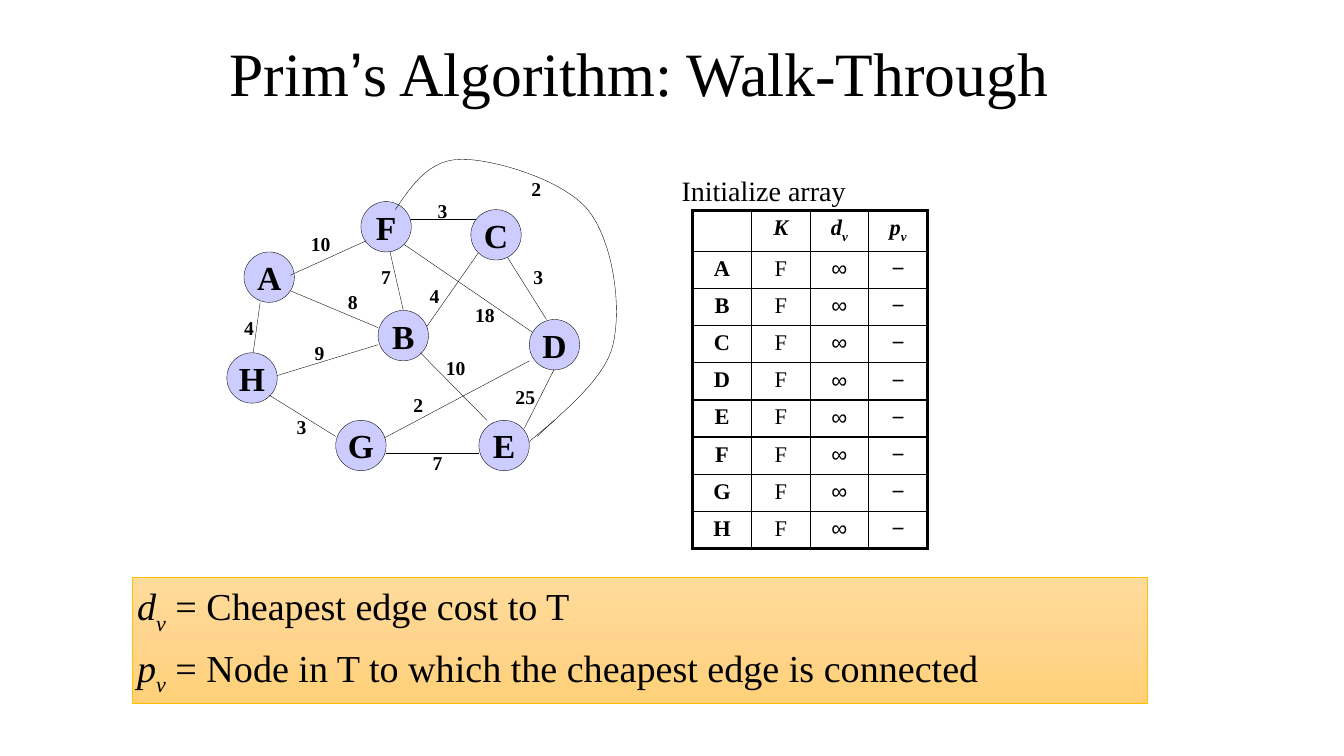
from lxml.etree import SubElement
from copy import deepcopy
from pptx import Presentation
from pptx.dml.color import RGBColor
from pptx.enum.shapes import MSO_CONNECTOR, MSO_SHAPE
from pptx.enum.text import MSO_ANCHOR, PP_ALIGN
from pptx.oxml.ns import qn
from pptx.util import Inches, Pt

INK = "000000"
NODES = {"A": (0.17, 1), "H": (0, 2), "B": (1.5, 1.58), "F": (1.33, 0.5),
         "E": (2.5, 2.67), "D": (3, 1.67), "C": (2.42, 0.58), "G": (1.08, 2.67)}
# Edge: start, end, cost, top centre of the cost label
UNDER = [
    ((0.25, 2.08), (0.33, 1.5), "4", (0.22, 1.58)),
    ((3.37, 1.92), (2.95, 2.75), "25", (2.96, 2.27)),
    ((1.58, 0.83), (1.75, 1.58), "7", (1.58, 1.08)),
    ((1.92, 1.83), (2.5, 1), "4", (2.06, 1.27)),
    ((3.08, 1.83), (1.75, 0.92), "18", (2.56, 1.46)),
    ((0.42, 2.25), (1.5, 1.92), "9", (0.92, 1.83)),
    ((1.42, 2.92), (3, 2.08), "2", (1.9, 2.35)),
    ((0.5, 1.33), (1.5, 1.75), "8", (1.25, 1.33)),
    ((1.8, 0.67), (2.47, 0.67), "3", (2.14, 0.42)),
    ((2.75, 1), (3.17, 1.67), "3", (3.09, 1.08)),
]
OVER = [
    ((1.92, 2), (2.58, 2.67), "10", (2.27, 1.98)),
    ((2.5, 3), (1.58, 3), "7", (2.09, 2.92)),
    ((1.08, 2.83), (0.42, 2.42), "3", (0.74, 2.57)),
    ((0.63, 1.23), (1.38, 0.89), "10", (0.93, 0.75)),
    ((3.25, 2.67), (3, 2.88), "", None),
]
# Bezier chain of the F-E edge: start, then two controls and an end each
ARC = [(1.67, 0.58), (1.84, 0.33), (2.01, 0.08), (2.33, 0.08),
       (2.65, 0.08), (3.33, 0.28), (3.58, 0.58),
       (3.83, 0.89), (3.92, 1.54), (3.83, 1.92),
       (3.75, 2.29), (3.21, 2.68), (3.08, 2.83)]


def color(code):
    return RGBColor.from_string(code)


def write(para, runs, size, bold=False, drop=-25):
    """Add (text, marks) runs; marks: i italic, s subscript, a Arial."""
    for text, marks in runs:
        run = para.add_run()
        run.text = text
        font = run.font
        font.size, font.bold, font.italic = Pt(size), bold, "i" in marks
        font.name = "Arial" if "a" in marks else "Times New Roman"
        font.color.rgb = color(INK)
        if "s" in marks:
            font._element.set("baseline", str(drop * 1000))


def pad(frame, gap=0.05):
    frame.margin_left = frame.margin_right = Inches(gap)
    frame.margin_top = frame.margin_bottom = Inches(gap)


def label(shapes, x, y, w, h, runs, size, bold=False, align=PP_ALIGN.CENTER):
    frame = shapes.add_textbox(Inches(x), Inches(y), Inches(w), Inches(h)).text_frame
    frame.word_wrap = True
    pad(frame)
    frame.paragraphs[0].alignment = align
    write(frame.paragraphs[0], runs, size, bold)


def outline(shape, code, width):
    shape.line.color.rgb = color(code)
    shape.line.width = Pt(width)


def cost(shapes, x, y, text):
    w = 0.33 if len(text) == 1 else 0.52
    label(shapes, x - w / 2, y, w, 0.31, [(text, "")], 14, True)


def edges(shapes, x, y, items):
    for (x1, y1), (x2, y2), text, spot in items:
        edge = shapes.add_connector(MSO_CONNECTOR.STRAIGHT, Inches(x + x1), Inches(y + y1),
                                    Inches(x + x2), Inches(y + y2))
        outline(edge, INK, 0.25)
        SubElement(edge._element.spPr, qn("a:effectLst"))
        if text:
            cost(shapes, x + spot[0], y + spot[1], text)


def node(shapes, x, y, name):
    disc = shapes.add_shape(MSO_SHAPE.OVAL, Inches(x), Inches(y), Inches(0.5), Inches(0.5))
    disc.shadow.inherit = False
    disc.fill.solid()
    disc.fill.fore_color.rgb = color("CCCCFF")
    outline(disc, INK, 0.25)
    frame = disc.text_frame
    pad(frame, 0)
    frame.word_wrap = False
    frame.vertical_anchor = MSO_ANCHOR.MIDDLE
    frame.paragraphs[0].alignment = PP_ALIGN.CENTER
    write(frame.paragraphs[0], [(name, "")], 24, True)


def bend(points, steps=16):
    """Sample a chain of cubic curves."""
    out = [points[0]]
    for k in range(0, len(points) - 1, 3):
        for n in range(1, steps + 1):
            t = n / steps
            mix = ((1 - t) ** 3, 3 * t * (1 - t) ** 2, 3 * t * t * (1 - t), t ** 3)
            out.append(tuple(sum(m * p[axis] for m, p in zip(mix, points[k:k + 4]))
                             for axis in (0, 1)))
    return out


def arc(shapes, x, y):
    spots = [(Inches(x + px), Inches(y + py)) for px, py in bend(ARC)]
    pen = shapes.build_freeform(*spots[0])
    pen.add_line_segments(spots[1:], close=False)
    path = pen.convert_to_shape()
    path.shadow.inherit = False
    path.fill.background()
    outline(path, INK, 0.25)


def graph(slide, x, y):
    shapes = slide.shapes.add_group_shape().shapes
    edges(shapes, x, y, UNDER)
    for name, (left, top) in NODES.items():
        node(shapes, x + left, y + top, name)
    edges(shapes, x, y, OVER)
    arc(shapes, x, y)
    cost(shapes, x + 3.07, y + 0.21, "2")


def border(cell, side, width):
    line = SubElement(cell._tc.get_or_add_tcPr(), qn("a:ln" + side), w=str(Pt(width)))
    SubElement(SubElement(line, qn("a:solidFill")), qn("a:srgbClr"), val=INK)


def array(slide, x, y, w, h):
    label(slide.shapes, x - 0.16, y - 0.42, 1.83, 0.41, [("Initialize array", "")], 20,
          align=PP_ALIGN.LEFT)
    rows = [[[], [("K", "i")], [("d", "i"), ("v", "is")], [("p", "i"), ("v", "is")]]]
    rows += [[[(name, "")], [("F", "")], [("∞", "a")], [("−", "a")]] for name in "ABCDEFGH"]
    last, end = len(rows) - 1, len(rows[0]) - 1
    table = slide.shapes.add_table(last + 1, end + 1, Inches(x), Inches(y),
                                   Inches(w), Inches(h)).table
    table.first_row = table.horz_banding = False
    for r, row in enumerate(rows):
        for c, runs in enumerate(row):
            cell = table.cell(r, c)
            pad(cell)
            sides = {"L": c == 0, "R": c == end, "T": r == 0, "B": r == last}
            for side, outer in sides.items():
                border(cell, side, 2.25 if outer else 1)
            cell.fill.background()
            para = cell.text_frame.paragraphs[0]
            para.alignment = PP_ALIGN.CENTER
            write(para, runs, 16, r == 0 or c == 0)


def legend(slide, x, y, w, h):
    box = slide.shapes.add_shape(MSO_SHAPE.RECTANGLE, Inches(x), Inches(y), Inches(w), Inches(h))
    box.shadow.inherit = False
    box.fill.gradient()
    box.fill.gradient_angle = 270
    stops = box._element.xpath(".//a:gsLst")[0]
    stops.append(deepcopy(stops[0]))
    for stop, place, code in zip(box.fill.gradient_stops, (0, 0.5, 1),
                                 ("FFDB9B", "FFD58D", "FFD078")):
        stop.position = place
        stop.color.rgb = color(code)
    outline(box, "FFC000", 0.5)
    frame = box.text_frame
    pad(frame)
    frame.word_wrap = True
    frame.vertical_anchor = MSO_ANCHOR.TOP
    first, second = frame.paragraphs[0], frame.add_paragraph()
    second.space_before = Pt(6)
    for para, name, text in ((first, "d", " = Cheapest edge cost to T"),
                             (second, "p", " = Node in T to which the cheapest edge is connected")):
        para.alignment = PP_ALIGN.LEFT
        write(para, [(name, "i"), ("v", "is"), (text, "")], 27.2, drop=-28)


def main():
    deck = Presentation()
    deck.slide_width, deck.slide_height = Inches(13.33), Inches(7.5)
    slide = deck.slides.add_slide(deck.slide_layouts[6])
    array(slide, 6.87, 2.09, 2.33, 3.32)
    graph(slide, 2.25, 1.5)
    legend(slide, 1.31, 5.73, 10.07, 1.25)
    label(slide.shapes, 2.22, 0.3, 8.24, 0.78,
          [("Prim", ""), ("’", "a"), ("s Algorithm: Walk-Through", "")], 44)
    deck.save("out.pptx")


if __name__ == "__main__":
    main()
